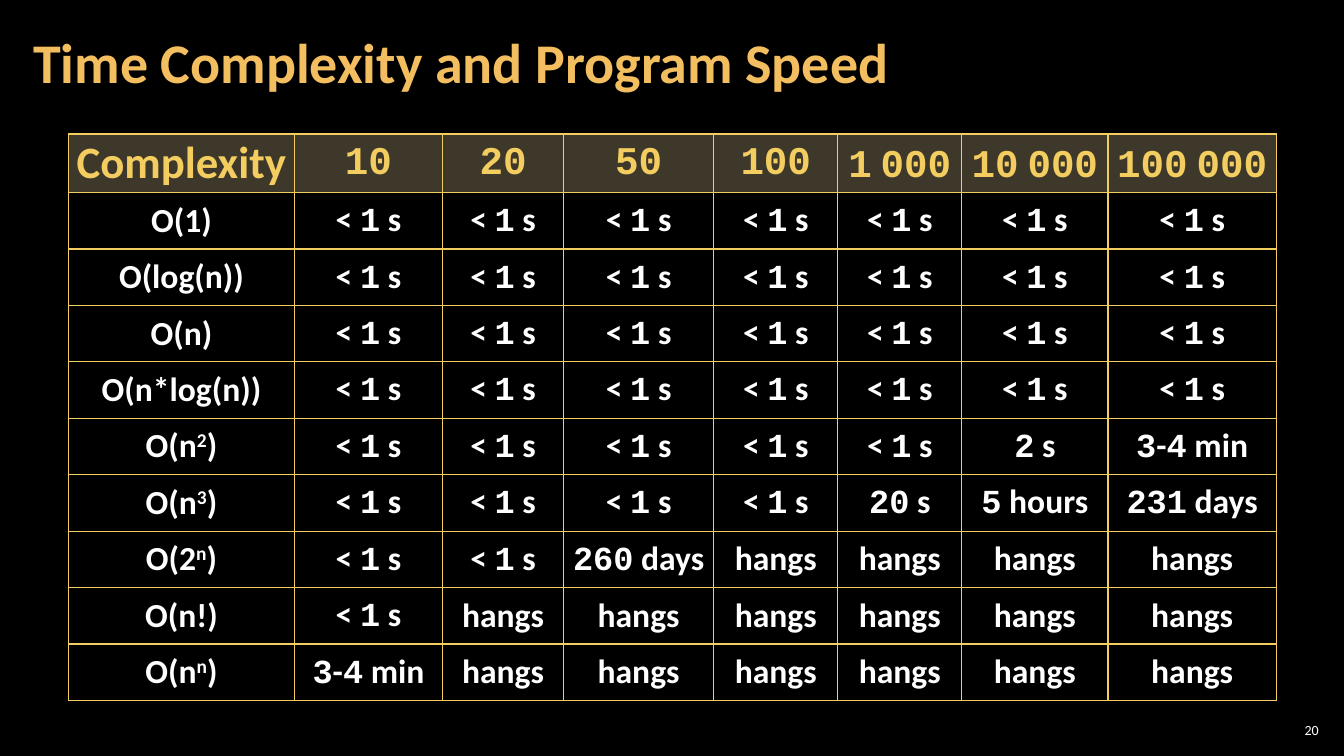
from dataclasses import dataclass
from itertools import groupby

from lxml.etree import SubElement
from pptx import Presentation
from pptx.dml.color import RGBColor
from pptx.enum.text import MSO_ANCHOR, MSO_AUTO_SIZE, PP_ALIGN
from pptx.oxml import parse_xml
from pptx.oxml.ns import nsdecls, qn
from pptx.util import Inches, Pt


@dataclass(frozen=True)
class Theme:
    """Colours, fonts and type sizes of the slide."""
    background: str = "000000"
    title: str = "F3BE60"
    accent: str = "F3CD60"
    header_fill: str = "7C7154"
    body: str = "FFFFFF"
    text_font: str = "Calibri"
    digit_font: str = "Courier New"
    title_size: int = 40
    corner_size: int = 32
    header_size: int = 28
    body_size: int = 24
    number_size: int = 10


COLUMN_WIDTHS = [2.24, 1.47, 1.2, 1.49, 1.23, 1.23, 1.45, 1.67]
HEADER_HEIGHT, ROW_HEIGHT = 0.58, 0.56
HEADER = ["Complexity", "10", "20", "50", "100", "1 000", "10 000", "100 000"]
FAST, HANGS = "< 1 s", "hangs"
SPEEDS = [
    ["O(1)"] + [FAST] * 7,
    ["O(log(n))"] + [FAST] * 7,
    ["O(n)"] + [FAST] * 7,
    ["O(n*log(n))"] + [FAST] * 7,
    ["O(n^2^)"] + [FAST] * 5 + ["2 s", "3-4 min"],
    ["O(n^3^)"] + [FAST] * 4 + ["20 s", "5 hours", "231 days"],
    ["O(2^n^)"] + [FAST] * 2 + ["260 days"] + [HANGS] * 4,
    ["O(n!)", FAST] + [HANGS] * 6,
    ["O(n^n^)", "3-4 min"] + [HANGS] * 6,
]


class SlideBuilder:
    """Adds styled elements to one slide."""

    def __init__(self, presentation, theme):
        self.theme = theme
        self.slide = presentation.slides.add_slide(presentation.slide_layouts[5])
        fill = self.slide.background.fill
        fill.solid()
        fill.fore_color.rgb = RGBColor.from_string(theme.background)

    def style(self, paragraph, size, color, alignment, bold=True):
        paragraph.alignment = alignment
        font = paragraph.font
        font.size = Pt(size)
        font.bold = bold
        font.color.rgb = RGBColor.from_string(color)
        return font

    def prepare_frame(self, frame, horizontal, vertical):
        frame.word_wrap = True
        frame.auto_size = MSO_AUTO_SIZE.NONE
        frame.vertical_anchor = MSO_ANCHOR.MIDDLE
        frame.margin_left = frame.margin_right = Inches(horizontal)
        frame.margin_top = frame.margin_bottom = Inches(vertical)

    def title(self, text, left, top, width, height):
        shape = self.slide.shapes.title
        shape.left, shape.top = Inches(left), Inches(top)
        shape.width, shape.height = Inches(width), Inches(height)
        shape.text_frame.text = text
        self.prepare_frame(shape.text_frame, 0.12, 0.04)
        paragraph = shape.text_frame.paragraphs[0]
        paragraph.line_spacing = 0.9
        font = self.style(paragraph, self.theme.title_size, self.theme.title, PP_ALIGN.LEFT)
        font.name = self.theme.text_font

    def page_number(self, text, left, top, width, height):
        shape = self.slide.shapes.add_textbox(
            Inches(left), Inches(top), Inches(width), Inches(height))
        shape.text_frame.text = text
        self.prepare_frame(shape.text_frame, 0.04, 0.04)
        font = self.style(shape.text_frame.paragraphs[0], self.theme.number_size,
                          self.theme.body, PP_ALIGN.RIGHT, bold=False)
        font.name = self.theme.text_font

    def table(self, header, rows, left, top):
        height = HEADER_HEIGHT + ROW_HEIGHT * len(rows)
        table = self.slide.shapes.add_table(
            len(rows) + 1, len(header), Inches(left), Inches(top),
            Inches(sum(COLUMN_WIDTHS)), Inches(height)).table
        for column, width in zip(table.columns, COLUMN_WIDTHS):
            column.width = Inches(width)
        for row_index, texts in enumerate([header] + rows):
            is_header = row_index == 0
            table.rows[row_index].height = Inches(HEADER_HEIGHT if is_header else ROW_HEIGHT)
            for column_index, text in enumerate(texts):
                cell = table.cell(row_index, column_index)
                self.frame_cell(cell, is_header)
                paragraph = cell.text_frame.paragraphs[0]
                if is_header:
                    size = self.theme.header_size if column_index else self.theme.corner_size
                    paragraph.line_spacing = 0.95
                    self.style(paragraph, size, self.theme.accent, PP_ALIGN.CENTER)
                else:
                    self.style(paragraph, self.theme.body_size, self.theme.body, PP_ALIGN.CENTER)
                if column_index:
                    self.duration(paragraph, text)
                else:
                    self.formula(paragraph, text)

    def frame_cell(self, cell, is_header):
        cell.vertical_anchor = MSO_ANCHOR.MIDDLE
        cell.margin_left = cell.margin_right = Inches(0.07)
        cell.margin_top = cell.margin_bottom = 0
        if is_header:
            cell.fill.solid()
            cell.fill.fore_color.rgb = RGBColor.from_string(self.theme.header_fill)
        else:
            cell.fill.background()
        properties = cell._tc.get_or_add_tcPr()
        for color in properties.iter(qn("a:srgbClr")):
            SubElement(color, qn("a:alpha"), val="50000")
        for index, side in enumerate(["lnL", "lnR", "lnT", "lnB"]):
            properties.insert(index, parse_xml(
                f'<a:{side} {nsdecls("a")} w="{Pt(1)}"><a:solidFill>'
                f'<a:srgbClr val="{self.theme.accent}"/></a:solidFill></a:{side}>'))

    def add_run(self, paragraph, text, font_name):
        run = paragraph.add_run()
        run.text = text
        run.font.name = font_name
        return run

    def duration(self, paragraph, text):
        for is_digit, characters in groupby(text, str.isdigit):
            font_name = self.theme.digit_font if is_digit else self.theme.text_font
            self.add_run(paragraph, "".join(characters), font_name)

    def formula(self, paragraph, text):
        for index, part in enumerate(text.split("^")):
            run = self.add_run(paragraph, part, self.theme.text_font)
            if index % 2:
                run._r.get_or_add_rPr().set("baseline", "30000")


def main():
    presentation = Presentation()
    presentation.slide_width, presentation.slide_height = Inches(13.33), Inches(7.5)
    builder = SlideBuilder(presentation, Theme())
    builder.page_number("20", 12.65, 7.14, 0.47, 0.21)
    builder.title("Time Complexity and Program Speed", 0.21, 0.04, 10.47, 1.21)
    builder.table(HEADER, SPEEDS, 0.68, 1.33)
    presentation.save("out.pptx")


if __name__ == "__main__":
    main()
